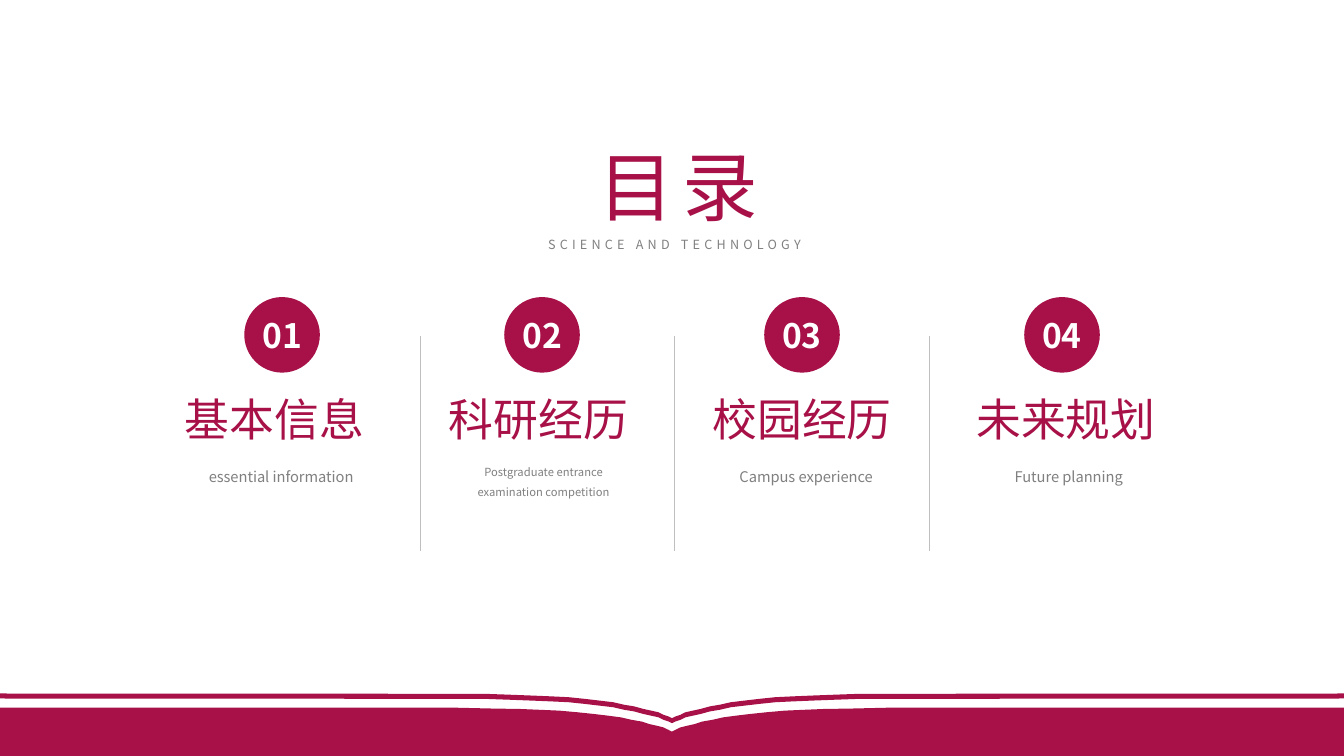
from dataclasses import dataclass
from itertools import chain
from typing import Optional

from lxml import etree
from pptx import Presentation, util as u
from pptx.dml.color import RGBColor
from pptx.enum import shapes, text
from pptx.oxml.ns import qn

CRIMSON = RGBColor(0xA7, 0x11, 0x47)
GREY = RGBColor(0x80, 0x80, 0x80)
RULE_GREY = RGBColor(0xBF, 0xBF, 0xBF)
WHITE = RGBColor(0xFF, 0xFF, 0xFF)
FONT = "Noto Sans CJK SC"

COLS, ROWS, CELL = 160, 90, 76200
RIBBON_DEPTH = 0.6

RIBBON_EDGE = [
    (0, 82.56), (57.7, 82.6), (60.5, 82.7), (63.1, 82.8), (65.5, 82.9),
    (67.7, 83), (69.6, 83.2), (71.3, 83.4), (73, 83.6), (74.3, 83.9),
    (75.5, 84.1), (76.6, 84.4), (77.5, 84.6), (78.4, 84.8), (79, 85.1),
    (79.6, 85.3), (80, 85.5),
]
PAGE_EDGE = [
    (0, 84.24), (53.9, 84.24), (59, 84.36), (61.8, 84.4), (64.3, 84.5),
    (66.6, 84.6), (68.8, 84.8), (70.7, 85), (72.4, 85.2), (73.9, 85.4),
    (75.2, 85.7), (76.4, 85.9), (77.3, 86.2), (78.2, 86.4), (79, 86.6),
    (79.6, 86.9), (80, 87.1),
]


@dataclass(frozen=True)
class Box:
    col: float
    row: float
    cols: float
    rows: float
    pitch: float = 0

    def at(self, index: int = 0) -> tuple:
        return (cells(self.col + index * self.pitch), cells(self.row),
                cells(self.cols), cells(self.rows))


@dataclass(frozen=True)
class Style:
    size: float
    color: RGBColor
    bold: bool = False
    tracking: float = 0
    line_spacing: float = 1
    margin: Optional[float] = None


@dataclass(frozen=True)
class Section:
    heading: str
    caption: str
    caption_size: float = 10.5
    caption_rows: float = 3.24


TITLE_BOX = Box(69.24, 16.08, 23.04, 12.12)
SUBTITLE_BOX = Box(62.88, 27.6, 34.8, 3)
BADGE = Box(29.08, 35.36, 9, 9, 30.95)
HEADING = Box(18.84, 46.08, 27.72, 7.68, 31.4)
DIVIDER = Box(50.04, 40, 0, 25.64, 30.3)
CAPTION_COL, CAPTION_ROW, CAPTION_COLS, CAPTION_PITCH = 23.64, 54.6, 19.68, 31.25

SECTIONS = [
    Section("基本信息", "essential information"),
    Section("科研经历", "Postgraduate entrance examination competition", 8, 4.8),
    Section("校园经历", "Campus experience"),
    Section("未来规划", "Future planning"),
]


def cells(count: float) -> u.Emu:
    return u.Emu(round(count * CELL))


def write(sp, wording: str, style: Style) -> None:
    tf = sp.text_frame
    tf.word_wrap = True
    tf.auto_size = text.MSO_AUTO_SIZE.SHAPE_TO_FIT_TEXT
    tf.vertical_anchor = text.MSO_ANCHOR.TOP
    if style.margin is not None:
        tf.margin_left = tf.margin_right = cells(style.margin)
        tf.margin_top = tf.margin_bottom = cells(style.margin)
    p = tf.paragraphs[0]
    p.alignment = text.PP_ALIGN.CENTER
    p.line_spacing = style.line_spacing
    p.space_before = u.Pt(0)
    r = p.add_run()
    r.text = wording
    r.font.size = u.Pt(style.size)
    r.font.bold = style.bold
    r.font.color.rgb = style.color
    r.font.name = FONT
    props = r.font._element
    etree.SubElement(props, qn("a:ea")).set("typeface", FONT)
    if style.tracking:
        props.set("spc", str(round(style.tracking * 100)))


def place(sp, box: Box) -> None:
    sp.left, sp.top, sp.width, sp.height = box.at()


def add_label(slide, position: tuple, wording: str, style: Style) -> None:
    write(slide.shapes.add_textbox(*position), wording, style)


def paint(sp) -> None:
    sp.shadow.inherit = False
    sp.fill.solid()
    sp.fill.fore_color.rgb = CRIMSON
    sp.line.fill.background()


def mirrored(half: list) -> list:
    return half + [(COLS - x, y) for x, y in reversed(half[:-1])]


def add_outline(slide, upper: list, lower: list) -> None:
    points = [(cells(x), cells(y)) for x, y in chain(upper, reversed(lower))]
    builder = slide.shapes.build_freeform(*points[0])
    builder.add_line_segments(points[1:], close=True)
    paint(builder.convert_to_shape())


def add_badge(slide, index: int) -> None:
    sp = slide.shapes.add_shape(shapes.MSO_SHAPE.OVAL, *BADGE.at(index))
    paint(sp)
    write(sp, f"{index + 1:02d}", Style(24, WHITE, bold=True, margin=0))
    tf = sp.text_frame
    tf.word_wrap = False
    tf.auto_size = text.MSO_AUTO_SIZE.NONE
    tf.vertical_anchor = text.MSO_ANCHOR.MIDDLE


def add_divider(slide, index: int) -> None:
    x, y, width, height = DIVIDER.at(index)
    line = slide.shapes.add_connector(
        shapes.MSO_CONNECTOR.STRAIGHT, x, y, x + width, y + height)
    line.line.color.rgb = RULE_GREY
    line.line.width = u.Pt(0.5)
    etree.SubElement(line._element.spPr, qn("a:effectLst"))


def add_section(slide, index: int, section: Section) -> None:
    add_badge(slide, index)
    add_label(slide, HEADING.at(index), section.heading, Style(32, CRIMSON))
    caption = Box(CAPTION_COL, CAPTION_ROW, CAPTION_COLS,
                  section.caption_rows, CAPTION_PITCH)
    add_label(slide, caption.at(index), section.caption,
              Style(section.caption_size, GREY, line_spacing=1.5, margin=0))


def main() -> None:
    prs = Presentation()
    prs.slide_width, prs.slide_height = cells(COLS), cells(ROWS)
    slide = prs.slides.add_slide(prs.slide_layouts[0])

    ribbon = mirrored(RIBBON_EDGE)
    add_outline(slide, ribbon, [(x, y + RIBBON_DEPTH) for x, y in ribbon])
    add_outline(slide, mirrored(PAGE_EDGE), [(0, ROWS), (COLS, ROWS)])

    title, subtitle = slide.placeholders
    place(title, TITLE_BOX)
    write(title, "目录", Style(54, CRIMSON, tracking=6))
    place(subtitle, SUBTITLE_BOX)
    write(subtitle, "SCIENCE AND TECHNOLOGY", Style(9, GREY, tracking=3))

    for index, section in enumerate(SECTIONS):
        add_section(slide, index, section)
    for index in range(len(SECTIONS) - 1):
        add_divider(slide, index)

    prs.save("out.pptx")


if __name__ == "__main__":
    main()
